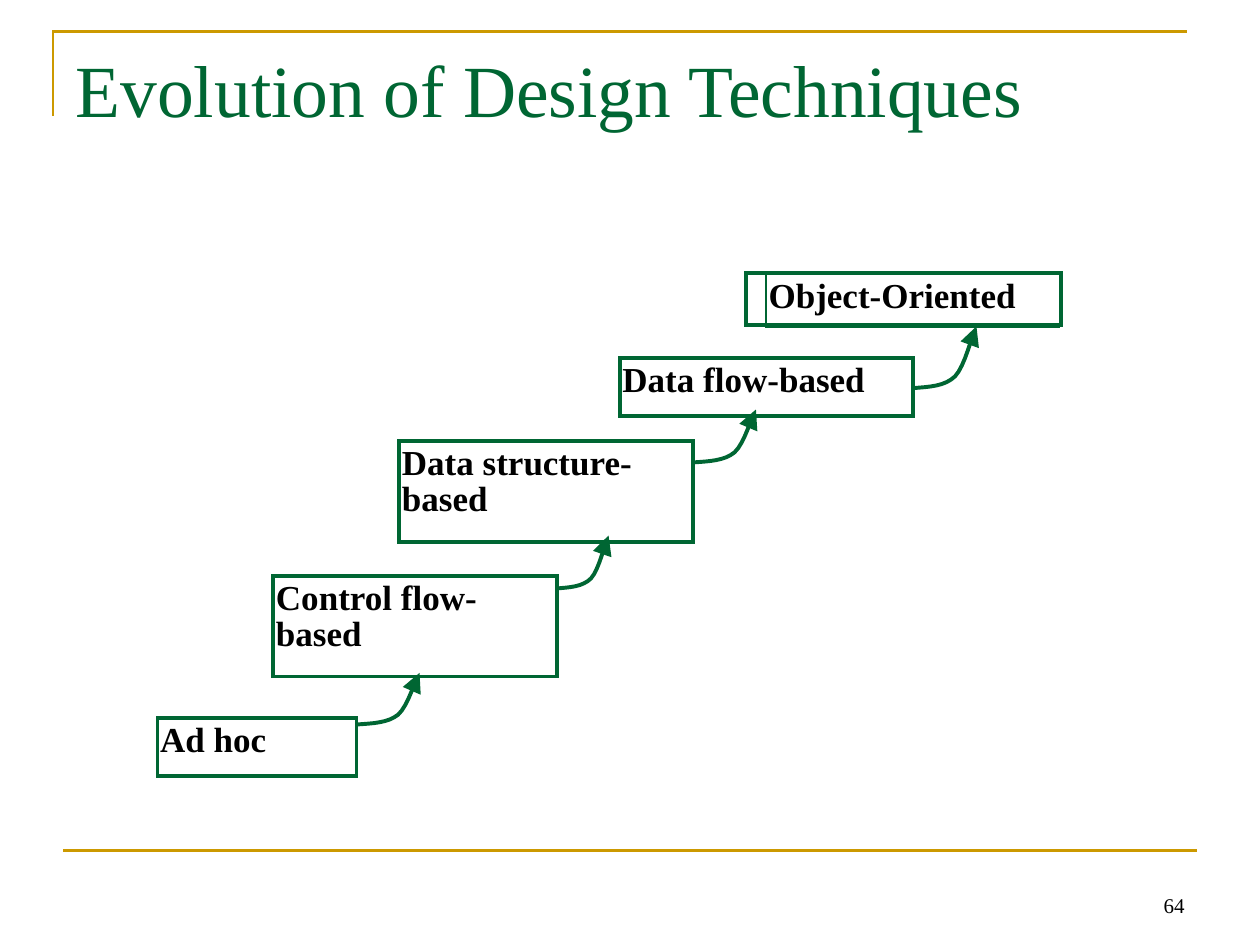
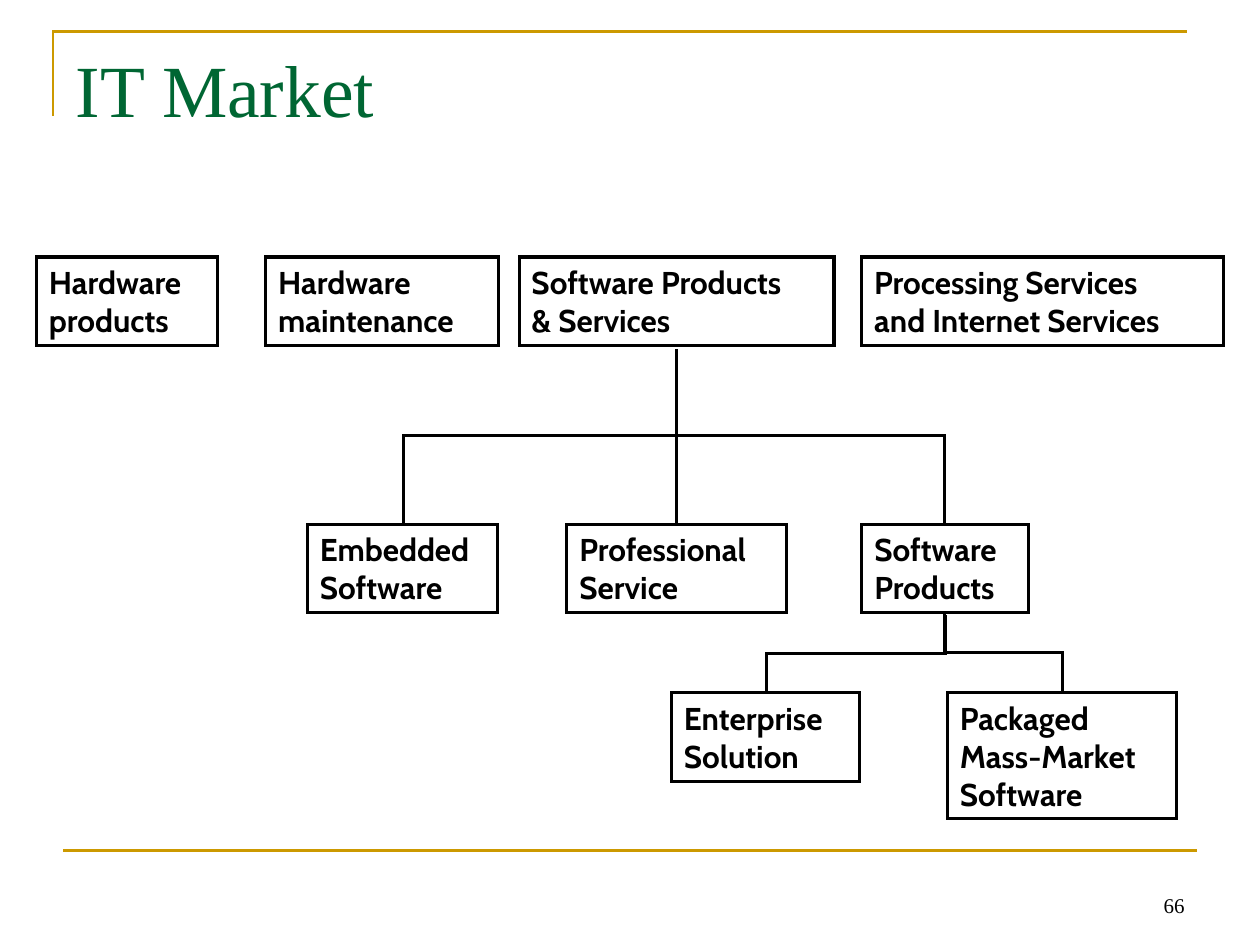
from pptx import Presentation
from pptx.dml.color import RGBColor
from pptx.enum.shapes import MSO_CONNECTOR, MSO_SHAPE
from pptx.enum.text import MSO_ANCHOR, PP_ALIGN
from pptx.oxml.ns import qn
from pptx.util import Inches, Pt
from lxml.etree import SubElement

GREEN = RGBColor(0x00, 0x66, 0x33)
GOLD = RGBColor(0xCC, 0x99, 0x00)
BLACK = RGBColor(0, 0, 0)
SERIF = "Times New Roman"
SANS = "Cabin"

# Techniques, earliest first: text, left, top, width, height, line width
TECHNIQUES = [
    ("Ad hoc", 1.25, 5.7, 1.58, 0.46, 2.25),
    ("Control flow-based", 2.17, 4.57, 2.25, 0.8, 2.25),
    ("Data structure-based", 3.17, 3.5, 2.33, 0.8, 2.25),
    ("Data flow-based", 4.92, 2.84, 2.33, 0.46, 2.25),
    ("Object-Oriented", 6.08, 2.17, 2.33, 0.43, 0.75),
]
OUTER_FRAME = (5.92, 2.17, 2.5, 0.41)
# Start x, start y, run and rise of each arrow to the next technique
STEPS = [
    (2.83, 5.75, 0.5, 0.41),
    (4.42, 4.67, 0.41, 0.42),
    (5.5, 3.67, 0.5, 0.42),
    (7.25, 3.08, 0.5, 0.49),
]
# Two cubic curves as fractions of run and rise
STEP_CURVES = [
    ((0, 0), (0.25, 0.02), (0.5, 0.03), (0.66, 0.19)),
    ((0.66, 0.19), (0.82, 0.36), (0.93, 0.87), (1, 1)),
]

# Market levels: top, then (lines, left, width) of each box
MARKET = [
    (2.04, [
        ("Hardware\nproducts", 0.29, 1.44),
        ("Hardware\nmaintenance", 2.11, 1.85),
        ("Software Products\n& Services", 4.12, 2.5),
        ("Processing Services\nand Internet Services", 6.84, 2.87),
    ]),
    (4.16, [
        ("Embedded\nSoftware", 2.44, 1.51),
        ("Professional\nService", 4.5, 1.74),
        ("Software\nProducts", 6.84, 1.32),
    ]),
    (5.5, [
        ("Enterprise\nSolution", 5.33, 1.49),
        ("Packaged\nMass-Market\nSoftware", 7.52, 1.82),
    ]),
]
# Parent point, child point
BRANCHES = [
    ((5.37, 2.77), (3.2, 4.15)),
    ((5.37, 2.77), (5.37, 4.15)),
    ((5.37, 2.77), (7.5, 4.15)),
    ((7.5, 4.88), (6.08, 5.5)),
    ((7.5, 4.86), (8.43, 5.5)),
]


def style_line(shape, color, width):
    shape.line.color.rgb = color
    shape.line.width = Pt(width)
    ln = shape.element.spPr.find(qn("a:ln"))
    SubElement(ln, qn("a:miter"), lim="800000")


def style_text(tf, size, font, color=BLACK, bold=False, align=PP_ALIGN.LEFT):
    for p in tf.paragraphs:
        p.alignment = align
        for r in p.runs:
            r.font.size = Pt(size)
            r.font.name = font
            r.font.bold = bold
            r.font.color.rgb = color


def add_outline(slide, kind, box, color, width):
    sp = slide.shapes.add_shape(kind, *map(Inches, box))
    sp.shadow.inherit = False
    sp.fill.background()
    style_line(sp, color, width)
    return sp


def add_box(slide, text, box, color, width, size, font, inset):
    sp = add_outline(slide, MSO_SHAPE.RECTANGLE, box, color, width)
    tf = sp.text_frame
    tf.word_wrap = True
    tf.vertical_anchor = MSO_ANCHOR.TOP
    tf.margin_left = tf.margin_right = Inches(inset)
    tf.text = text
    style_text(tf, size, font, bold=True)
    return sp


def add_path(slide, points, color, width):
    """Draw an open, unfilled outline through points given in inches."""
    points = [(Inches(x), Inches(y)) for x, y in points]
    builder = slide.shapes.build_freeform(*points[0])
    builder.add_line_segments(points[1:], close=False)
    sp = builder.convert_to_shape()
    sp.shadow.inherit = False
    sp.fill.background()
    style_line(sp, color, width)
    return sp


def add_line(slide, kind, start, end, color, width):
    line = slide.shapes.add_connector(kind, *map(Inches, start + end))
    style_line(line, color, width)
    SubElement(line.element.spPr, qn("a:effectLst"))
    return line


def add_branch(slide, start, end):
    """Join two points by a line that leaves and arrives vertically."""
    (x1, y1), (x2, y2) = start, end
    if x1 == x2:
        add_line(slide, MSO_CONNECTOR.STRAIGHT, start, end, BLACK, 1.75)
        return
    cx, cy = (x1 + x2) / 2, (y1 + y2) / 2
    half_w, half_h = (y2 - y1) / 2, abs(x2 - x1) / 2
    flip = 1 if x2 < x1 else -1
    line = add_line(slide, MSO_CONNECTOR.ELBOW,
                    (cx - flip * half_w, cy - half_h),
                    (cx + flip * half_w, cy + half_h), BLACK, 1.75)
    degrees = 90 if x2 < x1 else 270
    line.element.spPr.find(qn("a:xfrm")).set("rot", str(degrees * 60000))


def bezier(knots, t):
    weights = ((1 - t) ** 3, 3 * t * (1 - t) ** 2, 3 * t * t * (1 - t), t ** 3)
    return [sum(w * k[axis] for w, k in zip(weights, knots)) for axis in (0, 1)]


def add_step(slide, x, y, run, rise):
    """Draw a curved arrow that rises to the right from x, y."""
    steps = 8
    curve = [(0, 0)] + [bezier(knots, i / steps)
                        for knots in STEP_CURVES for i in range(1, steps + 1)]
    points = [(x + u * run, y - v * rise) for u, v in curve]
    sp = add_path(slide, points, GREEN, 2.25)
    ln = sp.element.spPr.find(qn("a:ln"))
    SubElement(ln, qn("a:tailEnd"), type="triangle", w="lg", len="lg")


def add_slide(prs, title, number):
    slide = prs.slides.add_slide(prs.slide_layouts[5])
    add_path(slide, [(0.42, 0.92), (0.42, 0.25), (9.42, 0.25)], GOLD, 1.5)
    add_line(slide, MSO_CONNECTOR.STRAIGHT, (0.5, 6.75), (9.5, 6.75), GOLD, 1.5)

    sp = slide.shapes.title
    sp.left, sp.top, sp.width, sp.height = map(Inches, (0.5, 0.3, 9, 1.25))
    tf = sp.text_frame
    tf.text = title
    tf.vertical_anchor = MSO_ANCHOR.TOP
    style_text(tf, 42, SERIF, GREEN)

    tf = slide.shapes.add_textbox(*map(Inches, (7.17, 6.83, 2.33, 0.5))).text_frame
    tf.word_wrap = True
    tf.vertical_anchor = MSO_ANCHOR.BOTTOM
    tf.text = str(number)
    style_text(tf, 12, SERIF, align=PP_ALIGN.RIGHT)
    return slide


def build_evolution(prs):
    slide = add_slide(prs, "Evolution of Design Techniques", 64)
    for text, *box, width in TECHNIQUES:
        sp = add_box(slide, text, box, GREEN, width, 20, SERIF, 0.02)
        sp.text_frame.paragraphs[0].line_spacing = 0.85
    frame = add_outline(slide, MSO_SHAPE.ROUNDED_RECTANGLE, OUTER_FRAME, GREEN, 2.25)
    frame.adjustments[0] = 0
    for step in STEPS:
        add_step(slide, *step)


def build_market(prs):
    slide = add_slide(prs, "IT Market", 66)
    for top, boxes in MARKET:
        for text, left, width in boxes:
            height = 0.1 + 0.3 * len(text.split("\n"))
            add_box(slide, text, (left, top, width, height), BLACK, 1.75, 18, SANS, 0.1)
    for start, end in BRANCHES:
        add_branch(slide, start, end)


def main():
    prs = Presentation()
    prs.slide_width, prs.slide_height = Inches(10), Inches(7.5)
    build_evolution(prs)
    build_market(prs)
    prs.save("out.pptx")


if __name__ == "__main__":
    main()
